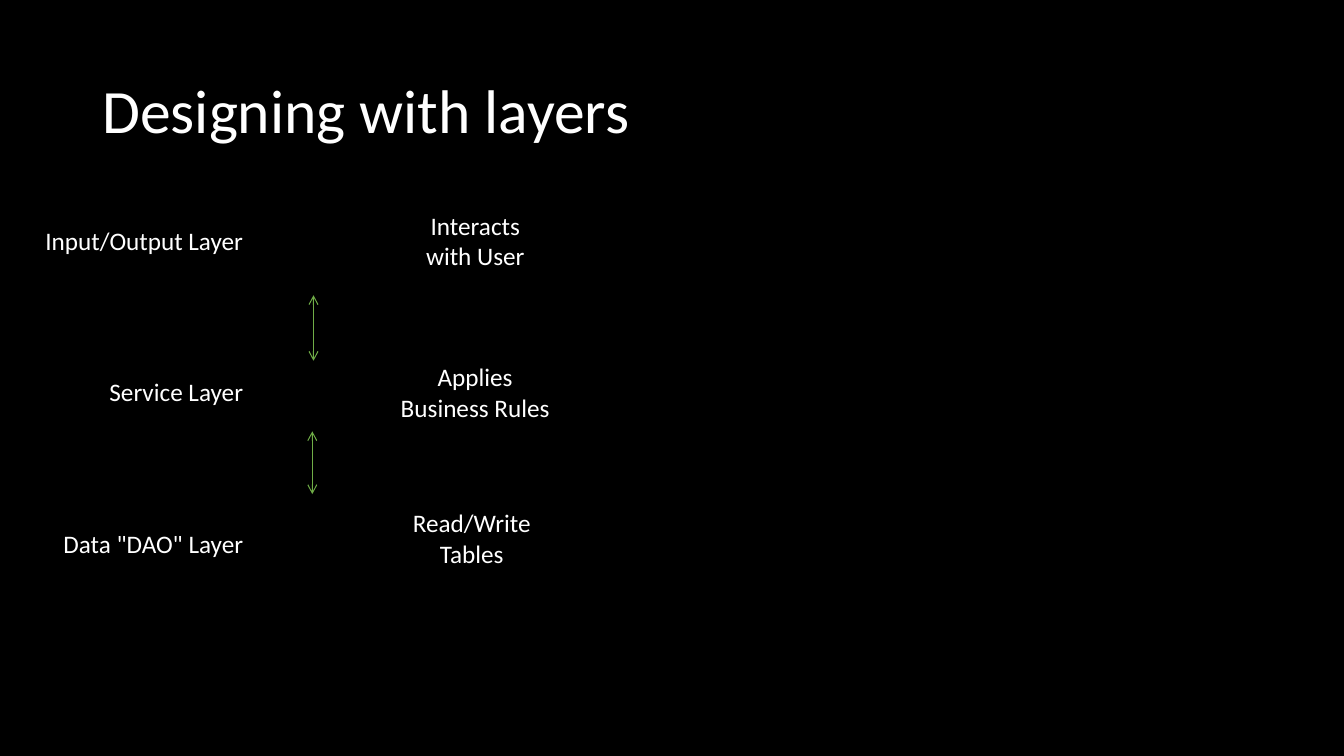
"""Build the slide on designing with layers."""
from dataclasses import dataclass

from lxml import etree
from pptx import Presentation
from pptx.dml import color
from pptx.enum import shapes, text
from pptx.oxml import ns
from pptx.util import Cm, Pt

BLACK = color.RGBColor(0x00, 0x00, 0x00)
WHITE = color.RGBColor(0xFF, 0xFF, 0xFF)
GREEN = color.RGBColor(0x70, 0xAD, 0x47)

LAYER_TOP, LAYER_STEP = 5.56, 3.81


@dataclass(frozen=True)
class Label:
    """A block of text with its box in centimetres."""
    words: str
    left: float
    top: float
    width: float
    height: float
    size: int = 18
    align: text.PP_ALIGN = text.PP_ALIGN.CENTER
    anchor: text.MSO_ANCHOR = text.MSO_ANCHOR.TOP
    spacing: float = 1.0


@dataclass(frozen=True)
class Arrow:
    """A vertical two-way arrow in centimetres."""
    x: float
    top: float
    bottom: float


TITLE = Label("Designing with layers", 2.33, 1.01, 29.21, 3.68, 44,
              text.PP_ALIGN.LEFT, text.MSO_ANCHOR.MIDDLE, 0.9)
LAYERS = [
    Label(name, 0.56, LAYER_TOP + i * LAYER_STEP, 5.82, 1.02, align=text.PP_ALIGN.RIGHT)
    for i, name in enumerate(("Input/Output Layer", "Service Layer", 'Data "DAO" Layer'))
]
ROLES = [
    Label("Interacts\nwith User", 10.29, 5.18, 3.38, 1.8),
    Label("Applies Business Rules", 9.78, 8.99, 4.39, 1.8),
    Label("Read/Write Tables", 10.11, 12.67, 3.56, 1.8),
]
ARROWS = [Arrow(7.9, 7.44, 9.09), Arrow(7.87, 10.87, 12.45)]


def set_all(obj: object, values: dict) -> None:
    """Set each named attribute of an object."""
    for name, value in values.items():
        setattr(obj, name, value)


def add_label(s, label: Label) -> None:
    """Draw a text box."""
    sp = s.shapes.add_textbox(Cm(label.left), Cm(label.top), Cm(label.width), Cm(label.height))
    tf = sp.text_frame
    tf.text = label.words
    set_all(tf, {"word_wrap": True, "vertical_anchor": label.anchor})
    for p in tf.paragraphs:
        set_all(p, {"alignment": label.align, "line_spacing": label.spacing})
        for r in p.runs:
            set_all(r.font, {"name": "Calibri", "size": Pt(label.size)})
            r.font.color.rgb = WHITE


def add_arrow(s, arrow: Arrow) -> None:
    """Draw a line with an open arrowhead at each end."""
    sp = s.shapes.add_connector(shapes.MSO_CONNECTOR.STRAIGHT, Cm(arrow.x), Cm(arrow.top),
                                Cm(arrow.x), Cm(arrow.bottom))
    sp.line.width = Pt(0.75)
    sp.line.color.rgb = GREEN
    ln = sp.line._get_or_add_ln()
    for tag in ("a:headEnd", "a:tailEnd"):
        etree.SubElement(ln, ns.qn(tag), type="arrow")
    etree.SubElement(ln.getparent(), ns.qn("a:effectLst"))


def main() -> None:
    """Create and save the presentation."""
    prs = Presentation()
    set_all(prs, {"slide_width": Cm(33.87), "slide_height": Cm(19.05)})
    s = prs.slides.add_slide(prs.slide_layouts[6])
    s.background.fill.solid()
    s.background.fill.fore_color.rgb = BLACK
    for label in (TITLE, *LAYERS, *ROLES):
        add_label(s, label)
    for arrow in ARROWS:
        add_arrow(s, arrow)
    prs.save("out.pptx")


if __name__ == "__main__":
    main()
